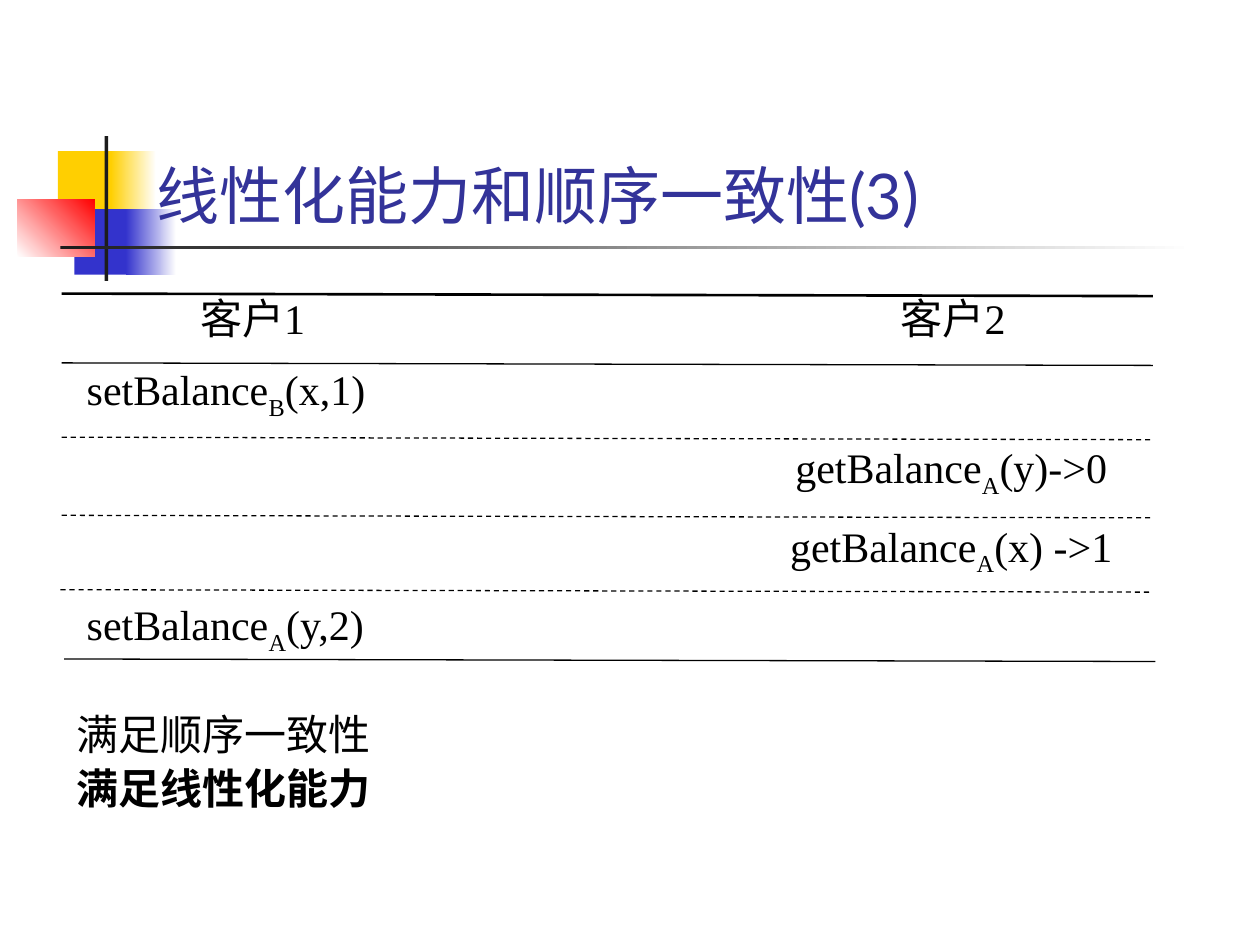
from dataclasses import dataclass
from typing import Optional

from lxml import etree
from pptx import Presentation
from pptx import util as u
from pptx.dml.color import RGBColor
from pptx.enum import dml, shapes, text
from pptx.oxml import ns

BLACK = RGBColor(0x00, 0x00, 0x00)
WHITE = RGBColor(0xFF, 0xFF, 0xFF)
YELLOW = RGBColor(0xFF, 0xCF, 0x01)
BLUE = RGBColor(0x33, 0x33, 0xCC)
RED = RGBColor(0xFF, 0x00, 0x00)
CHARCOAL = RGBColor(0x1C, 0x1C, 0x1C)
TITLE_BLUE = RGBColor(0x33, 0x33, 0x99)

TITLE_FORMAT = {"name": "Lato", "size": u.Pt(36)}
NOTE_FORMAT = {"name": "Lato", "size": u.Pt(24)}
CALL_FORMAT = {"name": "Times New Roman", "size": u.Pt(24)}


@dataclass
class Block:
    left: float
    top: float
    width: float
    height: float
    start: RGBColor
    end: Optional[RGBColor] = None
    angle: float = 0


@dataclass
class Rule:
    left: float
    top: float
    weight: float = 0.75
    dashed: bool = False


@dataclass
class Call:
    name: str
    replica: str
    arguments: str
    indent: float
    align: Optional[text.PP_ALIGN] = None


BLOCKS = [
    Block(0.46, 1.2, 0.48, 0.52, YELLOW),
    Block(0.88, 1.2, 0.36, 0.52, YELLOW, WHITE),
    Block(0.59, 1.66, 0.46, 0.52, BLUE),
    Block(1, 1.66, 0.4, 0.52, BLUE, WHITE),
    Block(0.14, 1.58, 0.61, 0.46, WHITE, RED, 45),
    Block(0.83, 1.08, 0.03, 1.15, CHARCOAL),
    Block(0.48, 1.95, 9, 0.03, CHARCOAL, WHITE),
]
RULES = [
    Rule(0.49, 2.33, 1.5),
    Rule(0.49, 2.88),
    Rule(0.51, 5.23),
    Rule(0.49, 3.47, dashed=True),
    Rule(0.49, 4.09, dashed=True),
    Rule(0.48, 4.68, dashed=True),
]
RULE_WIDTH, RULE_DROP = 8.66, 0.02
CLIENT_TABS = (0.98, 6.54)
LEFT_INDENT, RIGHT_INDENT = 0.08, 5.34
CALLS = [
    Call("setBalance", "B", "(x,1)", LEFT_INDENT),
    Call("getBalance", "A", "(y)->0", RIGHT_INDENT, text.PP_ALIGN.CENTER),
    Call("getBalance", "A", "(x) ->1", RIGHT_INDENT, text.PP_ALIGN.CENTER),
    Call("setBalance", "A", "(y,2)", LEFT_INDENT),
]
NOTES = [("满足顺序一致性", False), ("满足线性化能力", True)]


def add_block(page, block: Block) -> None:
    shape = page.shapes.add_shape(
        shapes.MSO_SHAPE.RECTANGLE,
        *map(u.Inches, (block.left, block.top, block.width, block.height)))
    shape.shadow.inherit = False
    shape.line.fill.background()
    if block.end is None:
        shape.fill.solid()
        shape.fill.fore_color.rgb = block.start
        return
    shape.fill.gradient()
    shape.fill.gradient_angle = block.angle
    for stop, color in zip(shape.fill.gradient_stops, (block.start, block.end)):
        stop.color.rgb = color


def add_rule(page, rule: Rule) -> None:
    line = page.shapes.add_connector(
        shapes.MSO_CONNECTOR.STRAIGHT, u.Inches(rule.left), u.Inches(rule.top),
        u.Inches(rule.left + RULE_WIDTH), u.Inches(rule.top + RULE_DROP))
    line.line.color.rgb = BLACK
    line.line.width = u.Pt(rule.weight)
    if rule.dashed:
        line.line.dash_style = dml.MSO_LINE.DASH
    etree.SubElement(line._element.spPr, ns.qn("a:effectLst"))


def add_box(page, left: float, top: float, width: float, height: float,
            anchor=text.MSO_ANCHOR.TOP):
    box = page.shapes.add_textbox(*map(u.Inches, (left, top, width, height)))
    frame = box.text_frame
    frame.word_wrap = True
    frame.vertical_anchor = anchor
    return frame


def add_span(para, content: str, formats: dict, color: RGBColor = BLACK):
    span = para.add_run()
    span.text = content
    for key, value in formats.items():
        setattr(span.font, key, value)
    span.font.color.rgb = color
    return span


def set_space_before(para, percent: int) -> None:
    space = etree.SubElement(para._p.get_or_add_pPr(), ns.qn("a:spcBef"))
    etree.SubElement(space, ns.qn("a:spcPct"), val=str(percent * 1000))


def set_indent(para, margin: float, first: float = 0) -> None:
    properties = para._p.get_or_add_pPr()
    properties.set("marL", str(u.Inches(margin)))
    properties.set("indent", str(u.Inches(first)))


def set_tabs(para, positions: tuple) -> None:
    tabs = etree.SubElement(para._p.get_or_add_pPr(), ns.qn("a:tabLst"))
    for position in positions:
        etree.SubElement(tabs, ns.qn("a:tab"), pos=str(u.Inches(position)), algn="l")


def add_call(frame, call: Call) -> None:
    para = frame.add_paragraph()
    set_indent(para, call.indent)
    set_space_before(para, 50)
    para.alignment = call.align
    add_span(para, call.name, CALL_FORMAT)
    replica = add_span(para, call.replica, CALL_FORMAT)
    replica.font._element.set("baseline", "-25000")
    add_span(para, call.arguments, CALL_FORMAT)


def add_notes(page) -> None:
    frame = add_box(page, 0.51, 5.62, 8.66, 1)
    for index, (content, bold) in enumerate(NOTES):
        para = frame.add_paragraph() if index else frame.paragraphs[0]
        set_indent(para, 0.38, -0.38)
        if index:
            set_space_before(para, 20)
        para.line_spacing = 0.9
        add_span(para, content, {**NOTE_FORMAT, "bold": bold})


def add_timeline(page) -> None:
    frame = add_box(page, 0.51, 2.27, 8.74, 2.93)
    frame.auto_size = text.MSO_AUTO_SIZE.SHAPE_TO_FIT_TEXT
    header = frame.paragraphs[0]
    set_tabs(header, CLIENT_TABS)
    add_span(header, "\t客户1\t客户2", CALL_FORMAT)
    for call in CALLS:
        add_call(frame, call)


def main() -> None:
    deck = Presentation()
    deck.slide_width, deck.slide_height = u.Inches(10), u.Inches(7.5)
    page = deck.slides.add_slide(deck.slide_layouts[6])
    for block in BLOCKS:
        add_block(page, block)
    title = add_box(page, 1.14, 0.91, 7.4, 0.98, text.MSO_ANCHOR.BOTTOM)
    add_span(title.paragraphs[0], "线性化能力和顺序一致性(3)", TITLE_FORMAT, TITLE_BLUE)
    add_notes(page)
    add_timeline(page)
    for rule in RULES:
        add_rule(page, rule)
    deck.save("out.pptx")


if __name__ == "__main__":
    main()
